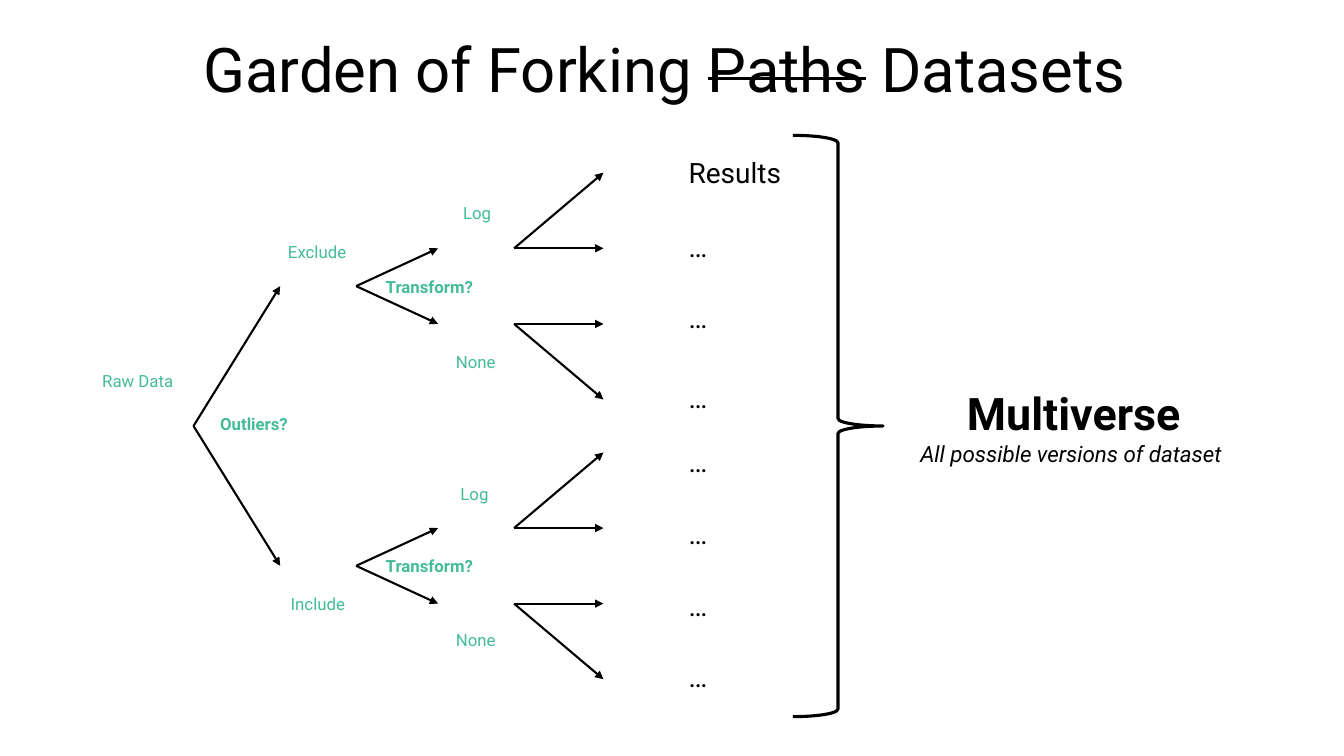
import pptx
import pptx.util
from lxml import etree
from pptx.dml.color import RGBColor
from pptx.enum.shapes import MSO_CONNECTOR, MSO_SHAPE
from pptx.enum.text import MSO_ANCHOR, PP_ALIGN
from pptx.oxml.ns import qn

BLACK = RGBColor(0x00, 0x00, 0x00)
WHITE = RGBColor(0xFF, 0xFF, 0xFF)
GREEN = RGBColor(0x44, 0xBB, 0x99)


class Canvas:
    """Draws on one slide; every length is a percentage of the slide's size."""

    font_name = "Roboto"

    def __init__(self, presentation):
        self.slide = presentation.slides.add_slide(presentation.slide_layouts[6])
        self.width = presentation.slide_width
        self.height = presentation.slide_height

    def point(self, x, y):
        return round(self.width * x / 100), round(self.height * y / 100)

    def box(self, left, top, width, height):
        return self.point(left, top) + self.point(width, height)

    def add_run(self, paragraph, text, size, color=BLACK, bold=False, italic=False):
        run = paragraph.add_run()
        run.text = text
        run.font.name = self.font_name
        run.font.size = pptx.util.Pt(size)
        run.font.color.rgb = color
        run.font.bold = bold
        run.font.italic = italic
        return run

    def text(self, box, align=PP_ALIGN.LEFT, anchor=MSO_ANCHOR.TOP, wrap=False):
        frame = self.slide.shapes.add_textbox(*self.box(*box)).text_frame
        frame.word_wrap = wrap
        frame.vertical_anchor = anchor
        paragraph = frame.paragraphs[0]
        paragraph.alignment = align
        return paragraph

    def label(self, text, left, top, width, bold=False):
        paragraph = self.text((left, top, width, 4), PP_ALIGN.CENTER)
        self.add_run(paragraph, text, 12, GREEN, bold)

    def arrow(self, start, end):
        connector = self.slide.shapes.add_connector(
            MSO_CONNECTOR.STRAIGHT, *self.point(*start), *self.point(*end))
        connector.line.color.rgb = BLACK
        connector.line.width = pptx.util.Pt(1.5)
        properties = connector._element.spPr
        etree.SubElement(properties.find(qn("a:ln")), qn("a:tailEnd"), type="triangle")
        etree.SubElement(properties, qn("a:effectLst"))

    def shape(self, kind, box):
        shape = self.slide.shapes.add_shape(kind, *self.box(*box))
        shape.shadow.inherit = False
        return shape


def draw_title(canvas):
    title = canvas.text((6.9, 0, 86.2, 19.1), PP_ALIGN.CENTER, MSO_ANCHOR.MIDDLE, True)
    title.line_spacing = 0.9
    canvas.add_run(title, "Garden of Forking ", 44)
    struck = canvas.add_run(title, "Paths", 44)
    struck._r.get_or_add_rPr().set("strike", "sngStrike")
    canvas.add_run(title, " Datasets ", 44)


def draw_tree(canvas):
    # Each choice forks up and down; the last fork runs level and outward
    root_y = 56.35
    for side in (-1, 1):
        outlier_y = root_y + side * 18.5
        canvas.arrow((14.4, root_y), (20.85, outlier_y))
        for turn in (-1, 1):
            transform_y = outlier_y + turn * 5
            canvas.arrow((26.5, outlier_y), (32.6, transform_y))
            for rise in (0, turn * 10):
                canvas.arrow((38.25, transform_y), (44.9, transform_y + rise))

    # Choice names
    canvas.label("Raw Data", 6.5, 48.4, 7.5)
    canvas.label("Outliers?", 14.9, 54.1, 8, bold=True)
    canvas.label("Exclude", 20.2, 31.3, 6.8)
    canvas.label("Include", 20.4, 77.9, 6.5)
    for question_top, log_left, log_top, none_top in (
            (35.9, 33.6, 26.1, 45.9), (72.9, 33.4, 63.3, 82.7)):
        canvas.label("Transform?", 27.4, question_top, 9.1, bold=True)
        canvas.label("Log", log_left, log_top, 3.8)
        canvas.label("None", 32.6, none_top, 5.6)


def draw_results(canvas):
    canvas.add_run(canvas.text((50.5, 19.9, 8.6, 5.9)), "Results", 20)
    for top in (29.5, 38.9, 49.6, 58, 67.5, 77.1, 86.5):
        paragraph = canvas.text((50.5, top, 3.6, 5.9), anchor=MSO_ANCHOR.BOTTOM)
        canvas.add_run(paragraph, "…", 20)


def draw_multiverse(canvas):
    # Summary panel
    panel = canvas.shape(MSO_SHAPE.ROUNDED_RECTANGLE, (65.7, 48.4, 28.4, 16))
    panel.fill.solid()
    panel.fill.fore_color.rgb = WHITE
    panel.line.fill.background()
    frame = panel.text_frame
    frame.word_wrap = True
    frame.vertical_anchor = MSO_ANCHOR.MIDDLE
    heading, caption = frame.paragraphs[0], frame.add_paragraph()
    heading.alignment = caption.alignment = PP_ALIGN.CENTER
    canvas.add_run(heading, "Multiverse", 32, bold=True)
    canvas.add_run(caption, "All possible versions of dataset ", 16, italic=True)

    # Brace that gathers all results
    brace = canvas.shape(MSO_SHAPE.RIGHT_BRACE, (59, 17.9, 6.7, 76.9))
    brace.fill.background()
    brace.line.color.rgb = BLACK
    brace.line.width = pptx.util.Pt(2.25)


def main():
    presentation = pptx.Presentation()
    presentation.slide_width = pptx.util.Inches(13.33)
    presentation.slide_height = pptx.util.Inches(7.5)
    canvas = Canvas(presentation)
    draw_title(canvas)
    draw_tree(canvas)
    draw_results(canvas)
    draw_multiverse(canvas)
    presentation.save("out.pptx")


if __name__ == "__main__":
    main()
